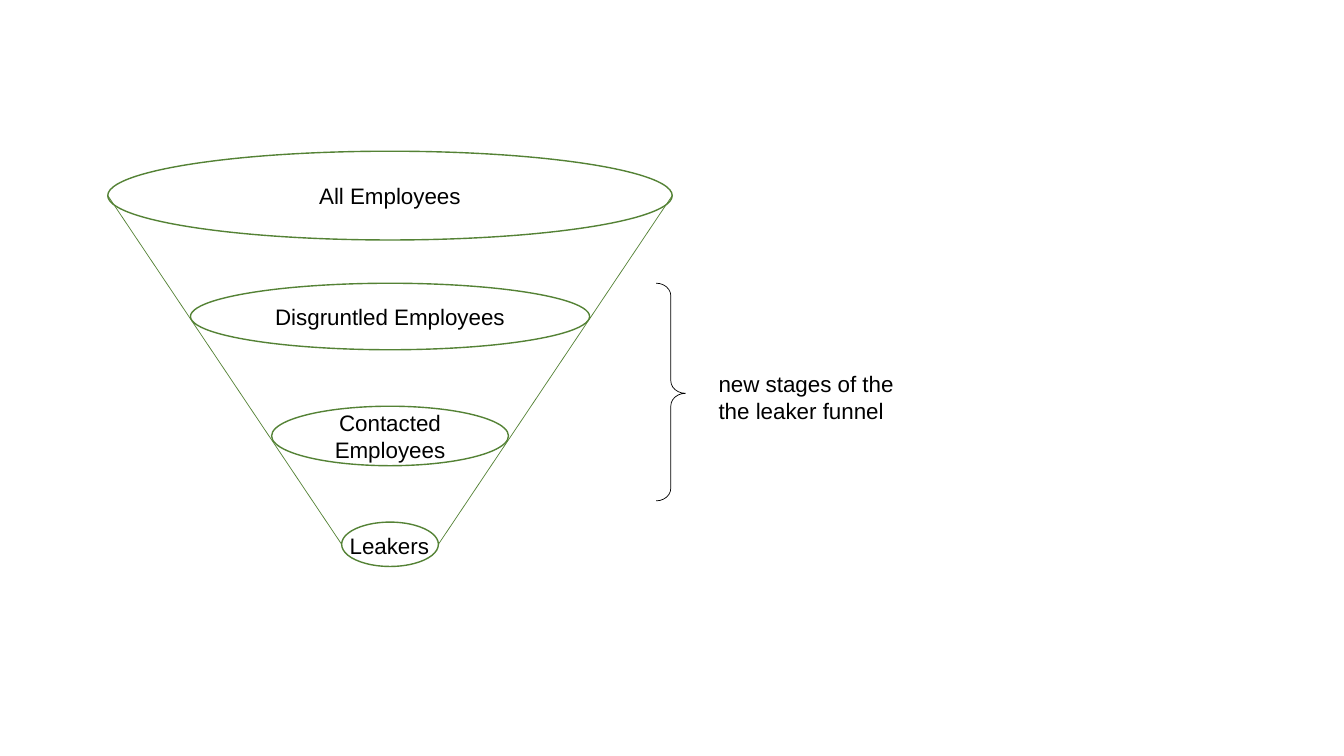
"""Build the leaker funnel slide."""
from lxml.etree import SubElement
from pptx import Presentation
from pptx.dml.color import RGBColor
from pptx.enum.shapes import MSO_CONNECTOR, MSO_SHAPE
from pptx.enum.text import MSO_ANCHOR, MSO_AUTO_SIZE, PP_ALIGN
from pptx.oxml.ns import qn
from pptx.util import Pt

STAGES = [
    ("All Employees", 139.7, 403.2, 63.4),
    ("Disgruntled Employees", 226.1, 285.1, 47.5),
    ("Contacted Employees", 311.4, 169.2, 42.5),
    ("", 388.8, 69.1, 31.7),
]
LABELS = [
    ("Leakers", (241.4, 376.6, 73.4, 26.6), PP_ALIGN.CENTER),
    ("new stages of the\nthe leaker funnel", (506.2, 260.6, 141.1, 46.1), PP_ALIGN.LEFT),
]
BRACE = (468.7, 202.3, 20.9, 155.5)
BENDS = (0.433, 0.506)
AXIS = 278.6
THEME = {
    "font": "Arial", "size": 16, "thick": 1, "thin": 0.5,
    "edge": RGBColor(0x54, 0x82, 0x35), "ink": RGBColor(0, 0, 0),
}


def write(frame, text, align):
    frame.text = text
    frame.vertical_anchor = MSO_ANCHOR.MIDDLE
    for para in frame.paragraphs:
        para.alignment = align
        for run in para.runs:
            run.font.name = THEME["font"]
            run.font.size = Pt(THEME["size"])
            run.font.color.rgb = THEME["ink"]


def draw(line, color, width):
    line.color.rgb = THEME[color]
    line.width = Pt(THEME[width])


def add_shape(slide, kind, box, color, width):
    shape = slide.shapes.add_shape(kind, *map(Pt, box))
    shape.shadow.inherit = False
    shape.fill.background()
    draw(shape.line, color, width)
    return shape


def add_stage(slide, text, mid, width, height):
    box = (AXIS - width / 2, mid - height / 2, width, height)
    oval = add_shape(slide, MSO_SHAPE.OVAL, box, "edge", "thick")
    if text:
        write(oval.text_frame, text, PP_ALIGN.CENTER)


def add_side(slide, sign):
    ends = [(AXIS + sign * width / 2, mid)
            for _, mid, width, _ in (STAGES[0], STAGES[-1])]
    side = slide.shapes.add_connector(
        MSO_CONNECTOR.STRAIGHT, *(Pt(n) for end in ends for n in end))
    draw(side.line, "edge", "thin")
    SubElement(side._element.spPr, qn("a:effectLst"))


def add_label(slide, text, box, align):
    frame = slide.shapes.add_textbox(*map(Pt, box)).text_frame
    write(frame, text, align)
    frame.word_wrap = False
    frame.auto_size = MSO_AUTO_SIZE.SHAPE_TO_FIT_TEXT


deck = Presentation()
deck.slide_width, deck.slide_height = Pt(960), Pt(540)
slide = deck.slides.add_slide(deck.slide_layouts[6])

for stage in STAGES:
    add_stage(slide, *stage)
for sign in (-1, 1):
    add_side(slide, sign)
brace = add_shape(slide, MSO_SHAPE.RIGHT_BRACE, BRACE, "ink", "thin")
for index, bend in enumerate(BENDS):
    brace.adjustments[index] = bend
for label in LABELS:
    add_label(slide, *label)

deck.save("out.pptx")
